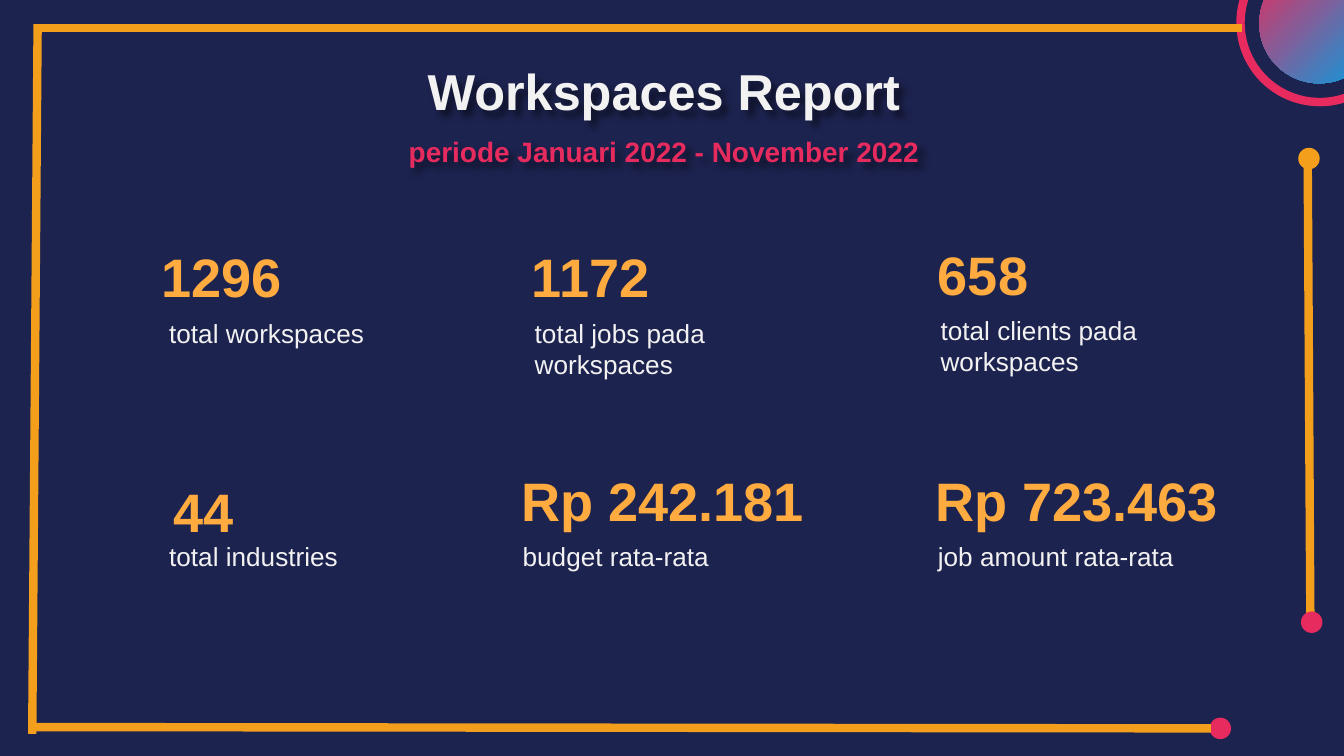
from lxml.etree import SubElement
from pptx import Presentation
from pptx.dml.color import RGBColor
from pptx.enum.shapes import MSO_CONNECTOR as Connector, MSO_SHAPE as Shape
from pptx.enum.text import MSO_ANCHOR as Anchor, MSO_AUTO_SIZE as AutoSize, PP_ALIGN as Align
from pptx.oxml import parse_xml
from pptx.oxml.ns import nsdecls, qn
from pptx.util import Inches, Pt

NAVY, ORANGE, AMBER = "1D234F", "F49F1B", "FFAB40"
PINK, BLUE, WHITE = "E72B5E", "00A1E5", "F3F2F2"

HEADING = "Workspaces Report"
PERIOD = "periode Januari 2022 - November 2022"

STATS = [
    ("1296", (1.10, 1.71, 1.46), "total workspaces", (1.16, 2.26, 1.82)),
    ("1172", (3.86, 1.71, 1.46), "total jobs pada workspaces", (3.88, 2.26, 1.82)),
    ("658", (6.88, 1.70, 1.46), "total clients pada workspaces", (6.90, 2.24, 1.82)),
    ("44", (1.19, 3.46, 1.46), "total industries", (1.16, 3.92, 1.82)),
    ("Rp 242.181", (3.78, 3.38, 2.72), "budget rata-rata", (3.79, 3.92, 1.82)),
    ("Rp 723.463", (6.86, 3.38, 2.72), "job amount rata-rata", (6.88, 3.92, 2.28)),
]

RING = (9.23, -0.42, 1.18)
DISC = (9.37, -0.27, 0.89)
DOT_SIZE = 0.16
DOTS = [(9.66, 1.10, ORANGE), (9.68, 4.55, PINK), (9.00, 5.34, PINK)]
SIDE_BAR = (9.75, 4.67, 9.73, 1.19)
FRAME = [
    (0.25, 5.41, 9.01, 5.42),
    (0.28, 0.21, 9.24, 0.21),
    (0.24, 5.46, 0.28, 0.18),
]


def rgb(value):
    return RGBColor.from_string(value)


def style(paragraph, size, color, bold):
    for run in paragraph.runs:
        run.font.name = "Arial"
        run.font.size = Pt(size)
        run.font.bold = bold
        run.font.color.rgb = rgb(color)


def set_frame(frame):
    frame.word_wrap = True
    frame.auto_size = AutoSize.NONE
    frame.vertical_anchor = Anchor.TOP
    frame.margin_left = frame.margin_right = Inches(0.1)
    frame.margin_top = frame.margin_bottom = Inches(0.1)


def add_text(slide, text, place, height, size, color, bold=False):
    left, top, width = place
    box = slide.shapes.add_textbox(Inches(left), Inches(top), Inches(width), Inches(height))
    box.text_frame.text = text
    set_frame(box.text_frame)
    style(box.text_frame.paragraphs[0], size, color, bold)


def add_circle(slide, left, top, size):
    circle = slide.shapes.add_shape(
        Shape.OVAL, Inches(left), Inches(top), Inches(size), Inches(size))
    circle.shadow.inherit = False
    circle.line.fill.background()
    return circle


def add_bar(slide, ends):
    bar = slide.shapes.add_connector(Connector.STRAIGHT, *map(Inches, ends))
    bar.line.color.rgb = rgb(ORANGE)
    bar.line.width = Pt(4.5)
    SubElement(bar.element.spPr, qn("a:effectLst"))


def add_heading(slide):
    title = slide.shapes.title
    title.left, title.top = Inches(2.15), Inches(0.35)
    title.width, title.height = Inches(5.58), Inches(0.64)
    frame = title.text_frame
    frame.text = f"{HEADING}\n{PERIOD}"
    set_frame(frame)
    for paragraph, size, color in zip(frame.paragraphs, (27, 15), (WHITE, PINK)):
        paragraph.alignment = Align.CENTER
        style(paragraph, size, color, True)
    frame.paragraphs[1].space_before = Pt(7)
    title.element.spPr.append(parse_xml(
        f'<a:effectLst {nsdecls("a")}>'
        '<a:outerShdw blurRad="50800" dist="50800" dir="2700000" algn="bl" rotWithShape="0">'
        '<a:srgbClr val="000000"><a:alpha val="50000"/></a:srgbClr>'
        '</a:outerShdw></a:effectLst>'))


def add_decoration(slide):
    ring = add_circle(slide, *RING)
    ring.fill.background()
    ring.line.color.rgb = rgb(PINK)
    ring.line.width = Pt(4.5)
    add_bar(slide, SIDE_BAR)
    disc = add_circle(slide, *DISC)
    disc.fill.gradient()
    disc.fill.gradient_angle = 135
    for stop, color, position in zip(disc.fill.gradient_stops, (BLUE, PINK), (0, 1)):
        stop.color.rgb = rgb(color)
        stop.position = position
    for left, top, color in DOTS:
        dot = add_circle(slide, left, top, DOT_SIZE)
        dot.fill.solid()
        dot.fill.fore_color.rgb = rgb(color)
    for ends in FRAME:
        add_bar(slide, ends)


def main():
    deck = Presentation()
    deck.slide_width = Inches(10)
    deck.slide_height = Inches(10) * 9 // 16
    slide = deck.slides.add_slide(deck.slide_layouts[5])
    slide.background.fill.solid()
    slide.background.fill.fore_color.rgb = rgb(NAVY)
    add_heading(slide)
    add_decoration(slide)
    for value, value_place, label, label_place in STATS:
        add_text(slide, value, value_place, 0.64, 29, AMBER, True)
        label_height = 0.67 if len(label) > 20 else 0.44
        add_text(slide, label, label_place, label_height, 14, WHITE)
    deck.save("out.pptx")


if __name__ == "__main__":
    main()
